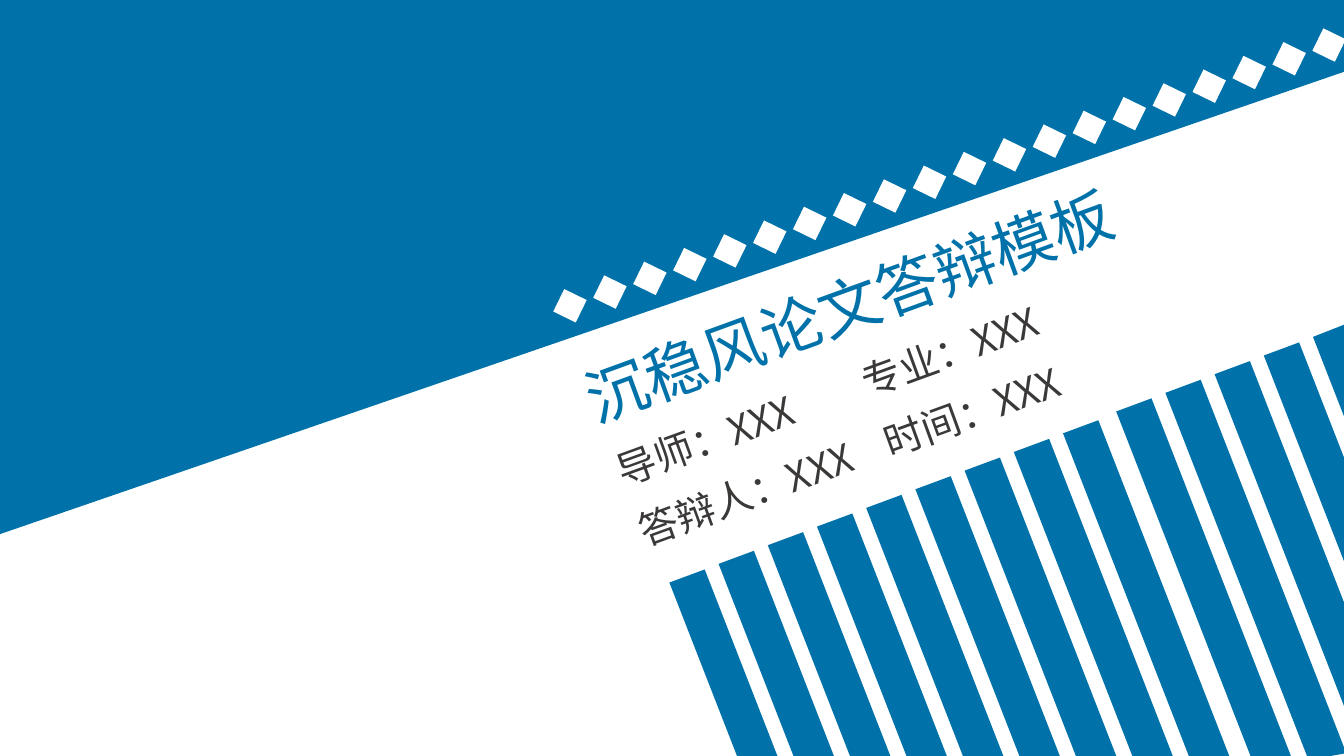
from dataclasses import dataclass

from lxml import etree
from pptx import Presentation
from pptx import util as u
from pptx.dml.color import RGBColor
from pptx.enum import shapes, text
from pptx.oxml import ns


@dataclass(frozen=True)
class Theme:
    blue: RGBColor = RGBColor(0x00, 0x72, 0xA9)
    white: RGBColor = RGBColor(0xFF, 0xFF, 0xFF)
    grey: RGBColor = RGBColor(0x3B, 0x38, 0x38)
    font: str = "Noto Sans CJK SC"
    title_size: int = 44
    detail_size: int = 28


THEME = Theme()
TEXT_ROTATION = 340
DIAMOND_ROTATION = 341

# Stripe geometry in centimetres
STRIPE_COUNT = 14
STRIPE_START = (16.87, 14.68)
STRIPE_STEP = (1.24, -0.47)
STRIPE_TOP = (0.89, -0.33)
STRIPE_SHIFT = (0.1, -0.08)  # slightly wider gap before the tenth stripe
STRIPE_SLOPE = 0.39  # sideways travel per centimetre down
RIGHT_EDGE, BOTTOM_EDGE = 33.93, 19.15


def paint(shape, color):
    shape.shadow.inherit = False
    shape.fill.solid()
    shape.fill.fore_color.rgb = color
    shape.line.fill.background()


def add_outline(slide, contours, color):
    """Draw one filled freeform from closed contours given in centimetres."""
    contours = [[(u.Cm(x), u.Cm(y)) for x, y in points] for points in contours]
    builder = slide.shapes.build_freeform(*contours[0][0])
    for index, points in enumerate(contours):
        if index:
            builder.move_to(*points[0])
        builder.add_line_segments(points[1:], close=True)
    paint(builder.convert_to_shape(), color)


def stripe_end(x, y):
    """Follow a stripe's side down to the bottom or right edge."""
    run = max(0, min((BOTTOM_EDGE - y) * STRIPE_SLOPE, RIGHT_EDGE - x))
    return x + run, y + run / STRIPE_SLOPE


def stripe_contour(index):
    shift = STRIPE_SHIFT if index >= 9 else (0, 0)
    left, right_y = (STRIPE_START[i] + index * STRIPE_STEP[i] + shift[i]
                     for i in range(2))
    top_left = (left, right_y)
    top_right = (min(left + STRIPE_TOP[0], RIGHT_EDGE), right_y + STRIPE_TOP[1])
    return [top_left, top_right, stripe_end(*top_right), stripe_end(*top_left)]


def add_diamond_row(slide, first, last, count, size):
    for index in range(count):
        x, y = (start + (end - start) * index / (count - 1)
                for start, end in zip(first, last))
        diamond = slide.shapes.add_shape(
            shapes.MSO_SHAPE.DIAMOND, u.Cm(x), u.Cm(y), u.Cm(size), u.Cm(size))
        diamond.rotation = DIAMOND_ROTATION
        paint(diamond, THEME.white)


def add_slanted_text(slide, words, box, size, color):
    shape = slide.shapes.add_textbox(*(u.Cm(length) for length in box))
    shape.rotation = TEXT_ROTATION
    frame = shape.text_frame
    frame.word_wrap = True
    frame.auto_size = text.MSO_AUTO_SIZE.SHAPE_TO_FIT_TEXT
    run = frame.paragraphs[0].add_run()
    run.text = words
    run.font.size = u.Pt(size)
    run.font.color.rgb = color
    run.font.name = THEME.font
    # East Asian typeface
    properties = run.font._element
    etree.SubElement(properties, ns.qn("a:ea"), typeface=THEME.font)


def main():
    presentation = Presentation()
    presentation.slide_width = u.Cm(33.87)
    presentation.slide_height = u.Cm(19.05)
    slide = presentation.slides.add_slide(presentation.slide_layouts[6])

    # Slanted band with its row of diamonds
    band = [(0, -0.05), (33.96, -0.05), (33.96, 1.78), (0, 13.46)]
    add_outline(slide, [band], THEME.blue)
    add_diamond_row(slide, (13.92, 7.26), (33.05, 0.69), count=20, size=0.89)

    # Stripes
    add_outline(slide, [stripe_contour(i) for i in range(STRIPE_COUNT)], THEME.blue)

    # Details and title
    details = [
        ("专业：XXX", (21.26, 7.57, 8.43, 1.45)),
        ("导师：XXX", (15.16, 10.13, 6.55, 1.45)),
        ("答辩人：XXX", (15.65, 11.3, 8.61, 1.45)),
        ("时间：XXX", (21.82, 9.09, 8.43, 1.45)),
    ]
    for words, box in details:
        add_slanted_text(slide, words, box, THEME.detail_size, THEME.grey)
    add_slanted_text(slide, "沉稳风论文答辩模板", (14.1, 6.3, 16.41, 2.13),
                     THEME.title_size, THEME.blue)

    presentation.save("out.pptx")


if __name__ == "__main__":
    main()
